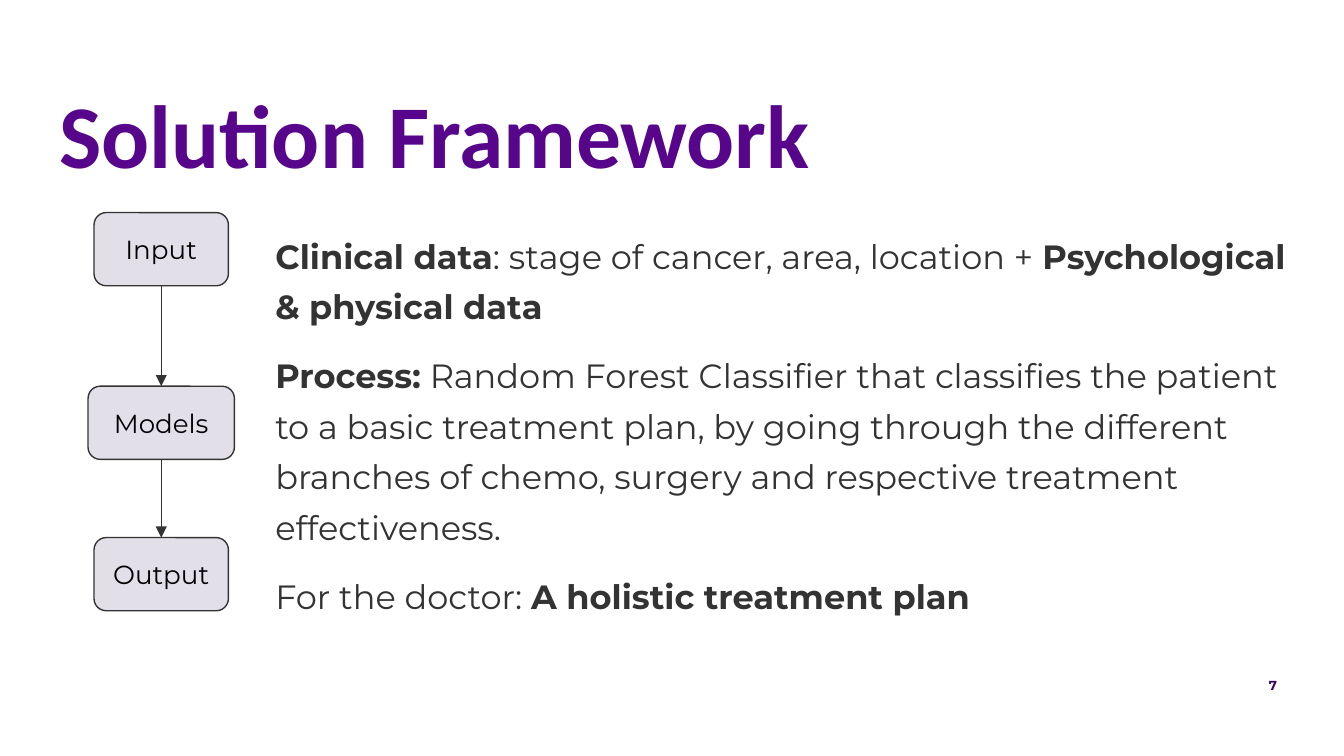
from dataclasses import dataclass
from itertools import pairwise

from lxml.etree import SubElement
from pptx import Presentation
from pptx.dml.color import RGBColor
from pptx.enum.shapes import MSO_CONNECTOR as Connector, MSO_SHAPE as Preset
from pptx.enum.text import MSO_ANCHOR as Anchor, MSO_AUTO_SIZE as AutoSize, PP_ALIGN as Align
from pptx.oxml.ns import qn
from pptx.shapes.autoshape import Shape
from pptx.slide import Slide
from pptx.text.text import Font, TextFrame
from pptx.util import Pt

INK = "333333"
PURPLE = "57068C"
DARK_PURPLE = "330662"
LAVENDER = "E3DFE9"
BLACK = "000000"
BODY_FONT = "Montserrat"
FLOW_CENTER = 86.4
STAGE_HEIGHT = 39.2
BOTTOM_SIDE, TOP_SIDE = 2, 0


@dataclass
class Stage:
    label: str
    top: float
    width: float


@dataclass
class Span:
    text: str
    bold: bool = False


STAGES = [
    Stage("Input", 113.9, 72),
    Stage("Models", 206.9, 78.4),
    Stage("Output", 288, 72),
]

DETAILS = [
    [
        Span("Clinical data", True),
        Span(": stage of cancer, area, location + "),
        Span("Psychological & physical data", True),
    ],
    [
        Span("Process:", True),
        Span(
            " Random Forest Classifier that classifies the patient to a basic "
            "treatment plan, by going through the different branches of chemo, "
            "surgery and respective treatment effectiveness."
        ),
    ],
    [Span("For the doctor: "), Span("A holistic treatment plan", True)],
]


def color(value: str) -> RGBColor:
    return RGBColor.from_string(value)


def style_font(font: Font, name: str, size: float, ink: str, bold: bool = False) -> None:
    font.name = name
    font.size = Pt(size)
    font.bold = bold
    font.color.rgb = color(ink)


def prepare_frame(frame: TextFrame, anchor: Anchor = Anchor.TOP) -> None:
    frame.word_wrap = True
    frame.auto_size = AutoSize.NONE
    frame.vertical_anchor = anchor
    frame.margin_left = frame.margin_right = Pt(7.2)
    frame.margin_top = frame.margin_bottom = Pt(7.2)


def add_title(page: Slide, text: str) -> None:
    title = page.shapes.title
    title.left, title.top, title.width, title.height = Pt(24.5), Pt(46), Pt(515.5), Pt(52)
    prepare_frame(title.text_frame)
    para = title.text_frame.paragraphs[0]
    para.text = text
    para.alignment = Align.LEFT
    para.line_spacing = 0.8
    style_font(para.font, "Calibri", 48, PURPLE, True)


def add_details(page: Slide, details: list[list[Span]]) -> None:
    box = page.shapes.add_textbox(Pt(140.4), Pt(113.8), Pt(562.4), Pt(216))
    frame = box.text_frame
    prepare_frame(frame)
    for index, spans in enumerate(details):
        para = frame.add_paragraph() if index else frame.paragraphs[0]
        para.line_spacing = 1.25
        para.space_before = Pt(10 if index else 0)
        for span in spans:
            run = para.add_run()
            run.text = span.text
            style_font(run.font, BODY_FONT, 18, INK, span.bold)


def add_stage(page: Slide, stage: Stage) -> Shape:
    box = page.shapes.add_shape(
        Preset.ROUNDED_RECTANGLE,
        Pt(FLOW_CENTER - stage.width / 2),
        Pt(stage.top),
        Pt(stage.width),
        Pt(STAGE_HEIGHT),
    )
    box.shadow.inherit = False
    box.fill.solid()
    box.fill.fore_color.rgb = color(LAVENDER)
    box.line.color.rgb = color(INK)
    box.line.width = Pt(0.75)
    prepare_frame(box.text_frame, Anchor.MIDDLE)
    para = box.text_frame.paragraphs[0]
    para.text = stage.label
    para.alignment = Align.CENTER
    style_font(para.font, BODY_FONT, 14, BLACK)
    return box


def add_arrow(page: Slide, source: Shape, target: Shape) -> None:
    arrow = page.shapes.add_connector(Connector.STRAIGHT, 0, 0, 0, 0)
    arrow.begin_connect(source, BOTTOM_SIDE)
    arrow.end_connect(target, TOP_SIDE)
    arrow.line.color.rgb = color(INK)
    arrow.line.width = Pt(0.75)
    SubElement(arrow.line._get_or_add_ln(), qn("a:tailEnd"), type="triangle")
    SubElement(arrow._element.spPr, qn("a:effectLst"))


def add_page_number(page: Slide, number: str) -> None:
    box = page.shapes.add_textbox(Pt(360.7), Pt(355.7), Pt(330.5), Pt(24.5))
    prepare_frame(box.text_frame)
    para = box.text_frame.paragraphs[0]
    para.text = number
    para.alignment = Align.RIGHT
    style_font(para.font, BODY_FONT, 7, DARK_PURPLE, True)


def main() -> None:
    deck = Presentation()
    deck.slide_width, deck.slide_height = Pt(720), Pt(405)
    page = deck.slides.add_slide(deck.slide_layouts[5])
    add_page_number(page, "7")
    add_title(page, "Solution Framework")
    add_details(page, DETAILS)
    boxes = [add_stage(page, stage) for stage in STAGES]
    for source, target in pairwise(boxes):
        add_arrow(page, source, target)
    deck.save("out.pptx")


if __name__ == "__main__":
    main()
